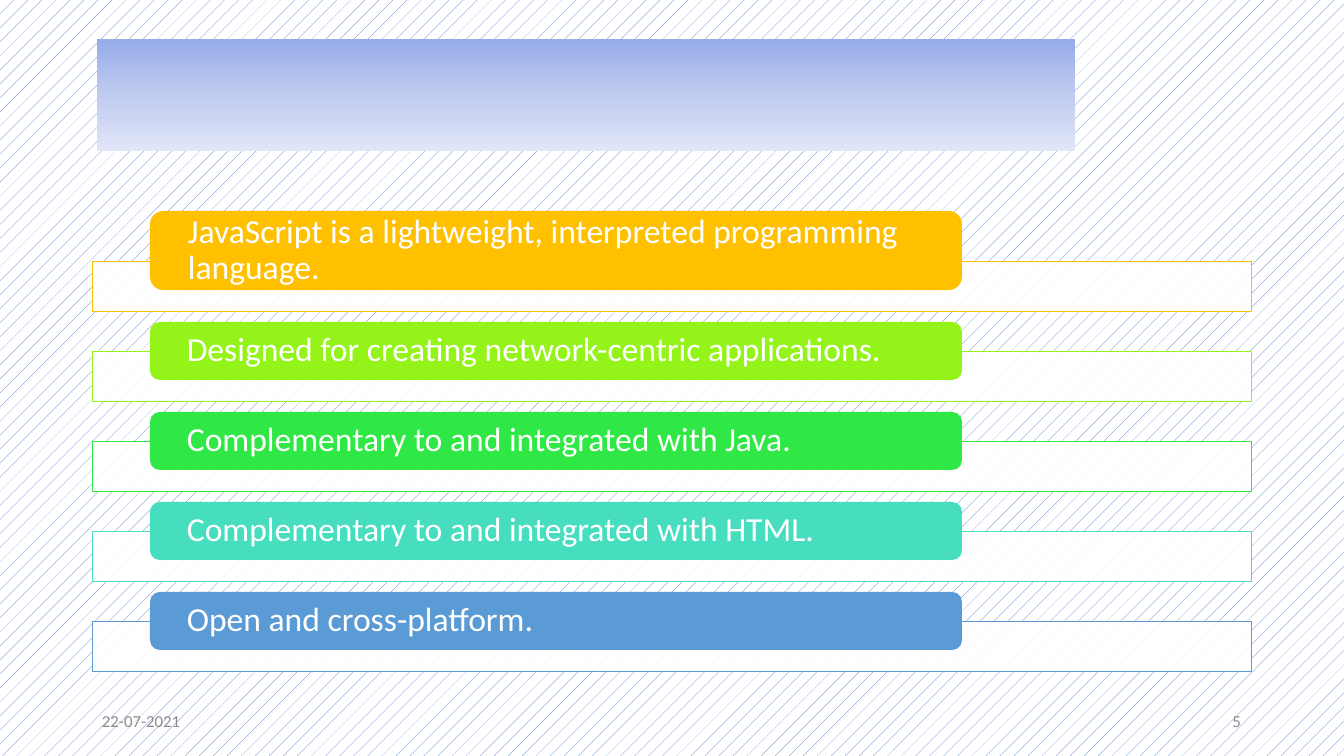
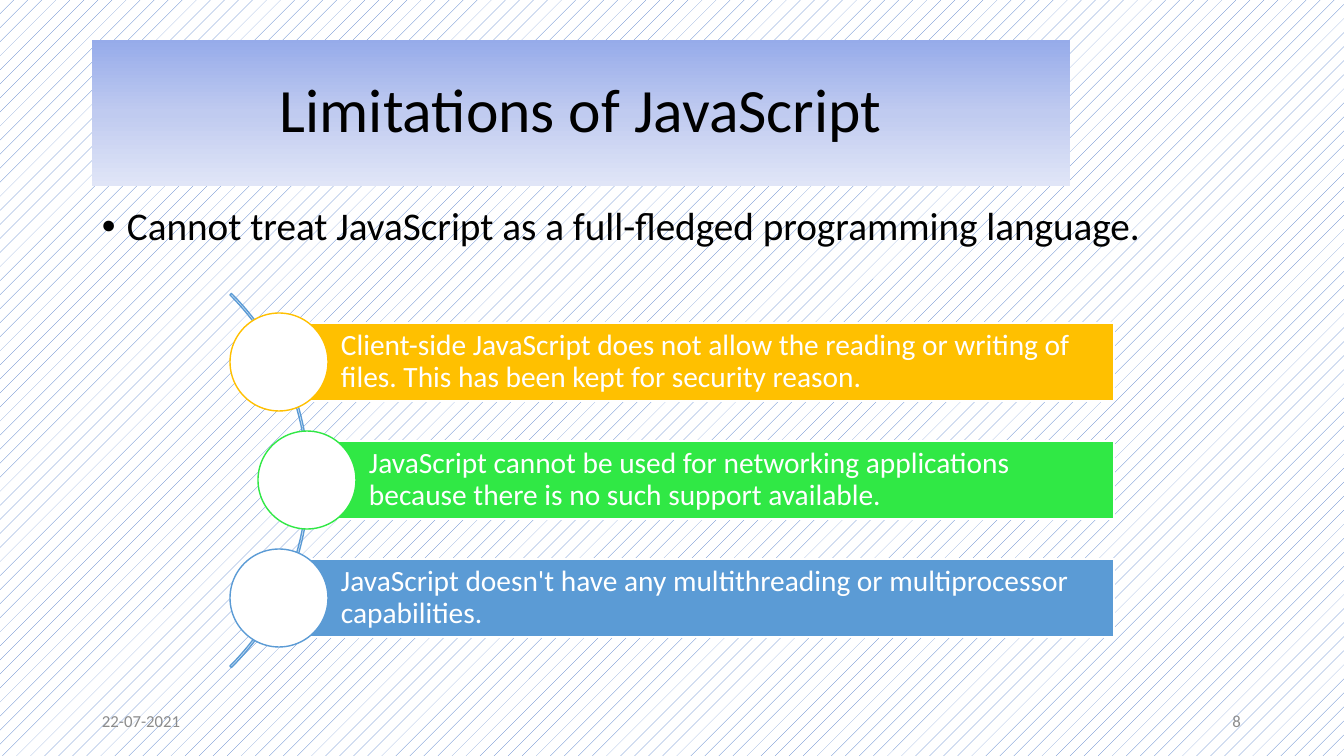
import copy
import lxml.etree
import pptx
import pptx.util
import pptx.dml.color
import pptx.enum.dml
import pptx.enum.shapes
import pptx.enum.text
import pptx.oxml.ns

SHAPE = pptx.enum.shapes.MSO_SHAPE
ALIGN = pptx.enum.text.PP_ALIGN
ANCHOR = pptx.enum.text.MSO_ANCHOR
qn = pptx.oxml.ns.qn

PAGE_WIDTH, PAGE_HEIGHT = 1344, 756
EMU_PER_PX = 12192000 / PAGE_WIDTH
FONT = "Calibri"
WHITE, BLACK, GREY = "FFFFFF", "000000", "8C8C8C"
AMBER, LIME, GREEN, TEAL, BLUE = "FFC000", "94F319", "30E845", "46DEBF", "5B9BD5"
PATTERN_COLOR = "4472C4"
TITLE_STOPS = [(0, "96ABEA"), (0.5, "C0CBF0"), (1, "E0E5F7")]
DATE = "22-07-2021"

FEATURES = [
    ("JavaScript is a lightweight, interpreted programming language.", AMBER, 79),
    ("Designed for creating network-centric applications.", LIME, 58),
    ("Complementary to and integrated with Java.", GREEN, 58),
    ("Complementary to and integrated with HTML.", TEAL, 58),
    ("Open and cross-platform.", BLUE, 58),
]
LIMITS_TITLE = "Limitations of JavaScript"
LIMITS_LEAD = "Cannot treat JavaScript as a full-fledged programming language."
LIMITS = [
    ("Client-side JavaScript does not allow the reading or writing of files. "
     "This has been kept for security reason.", AMBER, 230),
    ("JavaScript cannot be used for networking applications because there is "
     "no such support available.", GREEN, 258),
    ("JavaScript doesn't have any multithreading or multiprocessor capabilities.",
     BLUE, 230),
]


def px(length):
    return pptx.util.Emu(round(length * EMU_PER_PX))


def rgb(value):
    return pptx.dml.color.RGBColor.from_string(value)


def add_box(page, kind, frame, fill=None, line=None, width=1):
    box = page.shapes.add_shape(kind, *map(px, frame))
    box.shadow.inherit = False
    if fill:
        box.fill.solid()
        box.fill.fore_color.rgb = rgb(fill)
    else:
        box.fill.background()
    if line:
        box.line.color.rgb = rgb(line)
        box.line.width = pptx.util.Pt(width)
    else:
        box.line.fill.background()
    return box


def write(box, text, size, color, align=ALIGN.LEFT, insets=(10, 5, 10, 5),
          anchor=ANCHOR.MIDDLE, spacing=0.9):
    frame = box.text_frame
    frame.word_wrap = True
    frame.vertical_anchor = anchor
    (frame.margin_left, frame.margin_top,
     frame.margin_right, frame.margin_bottom) = map(px, insets)
    para = frame.paragraphs[0]
    para.alignment = align
    para.line_spacing = spacing
    span = para.add_run()
    span.text = text
    span.font.name = FONT
    span.font.size = pptx.util.Pt(size)
    span.font.color.rgb = rgb(color)
    return para


def add_text(page, frame, *args, **style):
    return write(page.shapes.add_textbox(*map(px, frame)), *args, **style)


def add_bullet(para, indent):
    props = para._p.get_or_add_pPr()
    props.set("marL", str(px(indent)))
    props.set("indent", str(-px(indent)))
    lxml.etree.SubElement(props, qn("a:buFont"), typeface="Arial")
    lxml.etree.SubElement(props, qn("a:buChar"), char="•")


def set_opacity(box, percent):
    color = box._element.spPr.find(qn("a:solidFill"))[0]
    lxml.etree.SubElement(color, qn("a:alpha"), val=str(percent * 1000))


def add_title_band(page, frame, text=None):
    band = add_box(page, SHAPE.RECTANGLE, frame)
    band.fill.gradient()
    band.fill.gradient_angle = 270
    stop_list = band._element.spPr.find(qn("a:gradFill")).find(qn("a:gsLst"))
    stop_list.append(copy.deepcopy(stop_list[-1]))
    for stop, (position, color) in zip(band.fill.gradient_stops, TITLE_STOPS):
        stop.position = position
        stop.color.rgb = rgb(color)
    if text:
        write(band, text, 44, BLACK, ALIGN.CENTER)


def add_page(deck, number):
    page = deck.slides.add_slide(deck.slide_layouts[6])
    fill = page.background.fill
    fill.patterned()
    fill.pattern = pptx.enum.dml.MSO_PATTERN.PERCENT_5
    fill.fore_color.rgb = rgb(PATTERN_COLOR)
    fill.back_color.rgb = rgb(WHITE)
    for left, text, align in ((92, DATE, ALIGN.LEFT), (949, number, ALIGN.RIGHT)):
        add_text(page, (left, 701, 302, 40), text, 12, GREY, align, spacing=1.0)
    return page


def build_features(deck):
    page = add_page(deck, "5")
    add_title_band(page, (97, 39, 978, 112))
    first_top, pitch, overlap = 261, 90, 29
    for index, (text, color, height) in enumerate(FEATURES):
        top = first_top + index * pitch
        bar = add_box(page, SHAPE.RECTANGLE, (92, top, 1159, 50), WHITE, color, 0.5)
        set_opacity(bar, 90)
        pill = add_box(page, SHAPE.ROUNDED_RECTANGLE,
                       (150, top + overlap - height, 812, height), color)
        write(pill, text, 24, WHITE, insets=(34, 0, 34, 0))


def build_limits(deck):
    page = add_page(deck, "8")
    add_title_band(page, (92, 40, 978, 146), LIMITS_TITLE)
    lead = add_text(page, (92, 202, 1159, 60), LIMITS_LEAD, 28, BLACK, anchor=ANCHOR.TOP)
    add_bullet(lead, 25)
    arc = add_box(page, SHAPE.BLOCK_ARC, (-220, 216, 529, 529), line=BLUE)
    for index, value in enumerate((189, 27, 0.004)):
        arc.adjustments[index] = value
    first_top, pitch, circle, bar_height, right = 313, 118, 98, 78, 1114
    for index, (text, color, left) in enumerate(LIMITS):
        top = first_top + index * pitch
        bar_left = left + circle / 2
        bar_top = top + (circle - bar_height) / 2
        bar = add_box(page, SHAPE.RECTANGLE,
                      (bar_left, bar_top, right - bar_left, bar_height), color, WHITE)
        write(bar, text, 21, WHITE, insets=(62, 6, 6, 6))
        add_box(page, SHAPE.OVAL, (left, top, circle, circle), WHITE, color)


def main():
    deck = pptx.Presentation()
    deck.slide_width, deck.slide_height = px(PAGE_WIDTH), px(PAGE_HEIGHT)
    build_features(deck)
    build_limits(deck)
    deck.save("out.pptx")


if __name__ == "__main__":
    main()
